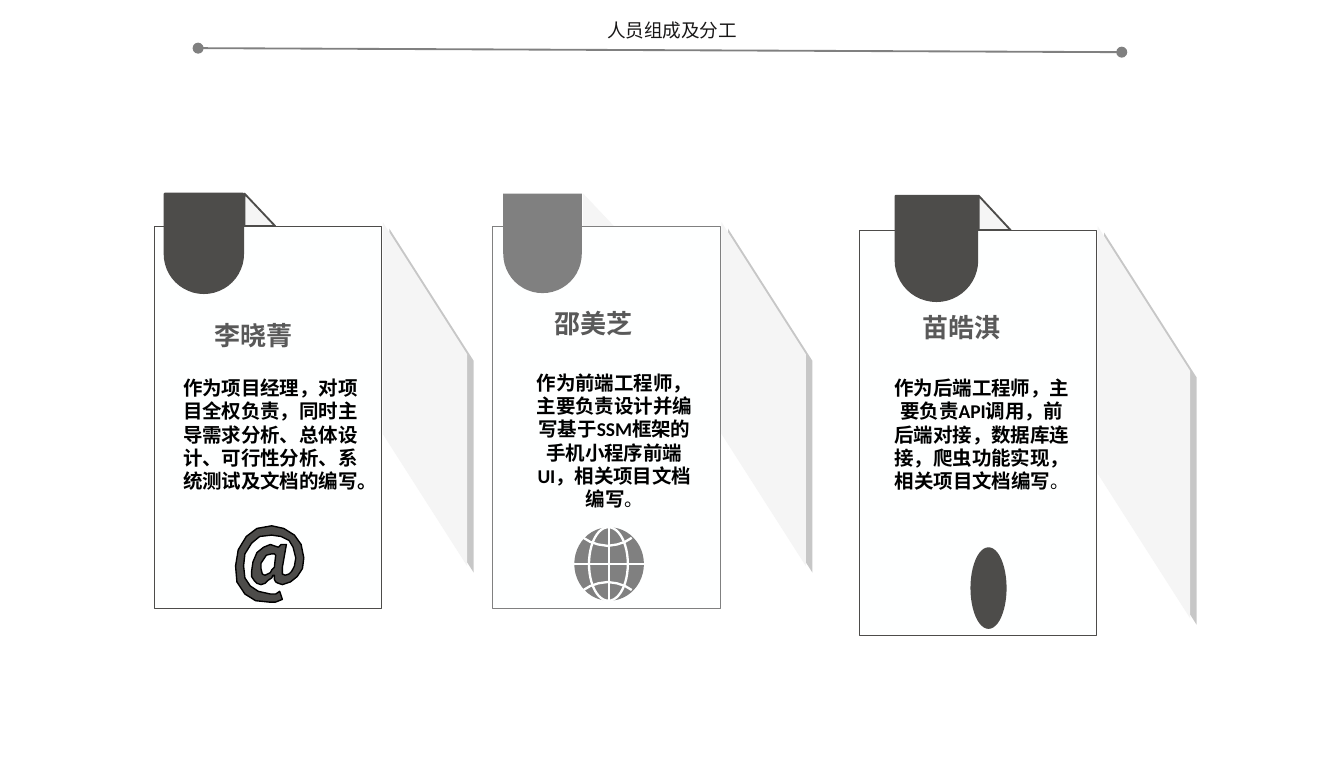
from lxml.etree import SubElement
from pptx import Presentation
from pptx.dml.color import RGBColor
from pptx.enum.shapes import MSO_CONNECTOR, MSO_SHAPE
from pptx.enum.text import MSO_ANCHOR, MSO_AUTO_SIZE, PP_ALIGN
from pptx.oxml.ns import qn
from pptx.util import Inches, Pt

DARK, GREY, PALE, PAPER = "4D4C4A", "808080", "F5F5F5", "FEFFFF"
SANS = "Noto Sans CJK SC"

# Outlines in hundredths of an inch
AT_RING = [
    (34, 14), (38, 14), (35, 31), (35, 36), (37, 37), (40, 36), (42, 34),
    (44, 30), (45, 24), (43, 16), (40, 11), (34, 8), (27, 7), (18, 8),
    (12, 13), (7, 21), (6, 30), (7, 39), (11, 45), (17, 49), (26, 51),
    (30, 51), (33, 49), (35, 55), (30, 57), (25, 57), (15, 56), (7, 51),
    (1, 42), (0, 30), (2, 18), (8, 8), (16, 2), (27, 0), (36, 2), (44, 7),
    (49, 14), (51, 24), (50, 32), (46, 38), (41, 42), (35, 44), (32, 43),
    (30, 42), (29, 40), (29, 37), (28, 37), (27, 39), (24, 41), (22, 43),
    (19, 44), (16, 43), (14, 41), (12, 38), (12, 34), (13, 27), (16, 20),
    (21, 16), (26, 14), (29, 15), (32, 16)]
AT_HOLE = [
    (30, 22), (29, 21), (27, 21), (23, 22), (21, 25), (19, 28), (19, 32),
    (20, 36), (22, 37), (24, 36), (26, 35), (27, 33), (29, 31)]
NORTH = [(7, 8), (12, 11), (18, 13), (25, 14), (32, 13), (38, 11), (43, 8)]
SOUTH = [(x, 55 - y) for x, y in NORTH]


def color(code):
    return RGBColor.from_string(code)


def paint(shape, fill=None, line=None, width=1):
    shape.shadow.inherit = False
    if fill:
        shape.fill.solid()
        shape.fill.fore_color.rgb = color(fill)
    else:
        shape.fill.background()
    if line:
        shape.line.color.rgb = color(line)
        shape.line.width = Pt(width)
    else:
        shape.line.fill.background()
    return shape


def place(slide, kind, x, y, w, h, *look):
    shape = slide.shapes.add_shape(
        kind, Inches(x), Inches(y), Inches(w), Inches(h))
    return paint(shape, *look)


def trace(slide, x, y, loops, closed, *look):
    """Draw loops of points, in hundredths of an inch from x, y."""
    pen = slide.shapes.build_freeform(*loops[0][0], scale=Inches(0.01))
    for i, loop in enumerate(loops):
        if i:
            pen.move_to(*loop[0])
        pen.add_line_segments(loop[1:], close=closed)
    return paint(pen.convert_to_shape(Inches(x), Inches(y)), *look)


def join(slide, x1, y1, x2, y2, code, width):
    line = slide.shapes.add_connector(
        MSO_CONNECTOR.STRAIGHT, Inches(x1), Inches(y1), Inches(x2), Inches(y2))
    line.line.color.rgb = color(code)
    line.line.width = Pt(width)
    SubElement(line._element.spPr, qn("a:effectLst"))
    return line


def style(para, face, size, code, bold):
    font = para.font
    font.name, font.size, font.bold = face, Pt(size), bold
    font.color.rgb = color(code)
    para.alignment = PP_ALIGN.CENTER


def write(slide, x, y, w, h, text, face, size, code):
    box = slide.shapes.add_textbox(Inches(x), Inches(y), Inches(w), Inches(h))
    frame = box.text_frame
    frame.word_wrap = True
    frame.auto_size = MSO_AUTO_SIZE.SHAPE_TO_FIT_TEXT
    para = frame.paragraphs[0]
    para.add_run().text = text
    style(para, face, size, code, True)
    return frame


def draw_head(slide, x, y, w):
    title = slide.shapes.title
    title.left, title.top = Inches(x + w / 2 - 0.15 - 0.59 + 0.24), Inches(y - 0.27)
    title.width, title.height = Inches(1.18), Inches(0.27)
    frame = title.text_frame
    frame.text = "人员组成及分工"
    frame.word_wrap = False
    frame.auto_size = MSO_AUTO_SIZE.SHAPE_TO_FIT_TEXT
    frame.vertical_anchor = MSO_ANCHOR.TOP
    style(frame.paragraphs[0], SANS, 10, "181717", False)
    rule = join(slide, x, y, x + w, y + 0.03, GREY, 1)
    for end in ("a:headEnd", "a:tailEnd"):
        SubElement(rule.line._get_or_add_ln(), qn(end), type="oval")


def draw_panel(slide, x, y, w, h):
    """Draw the slanted side panel, a turned parallelogram with a shadow."""
    panel = place(slide, MSO_SHAPE.PARALLELOGRAM,
                  x + (w - h) / 2, y + (h - w) / 2, h, w, PALE)
    panel.rotation = 270
    panel.adjustments[0] = 1.567
    effects = panel._element.spPr.find(qn("a:effectLst"))
    shade = SubElement(effects, qn("a:outerShdw"), dist=str(Pt(5)),
                       dir="2700000", algn="tl", rotWithShape="0")
    black = SubElement(shade, qn("a:srgbClr"), val="000000")
    SubElement(black, qn("a:alpha"), val="22000")


def draw_at(slide, x, y):
    trace(slide, x, y, [AT_RING, AT_HOLE], True, DARK, "000000", 0.75)


def draw_globe(slide, x, y):
    w, h = 0.52, 0.55
    place(slide, MSO_SHAPE.OVAL, x, y, w, h, GREY)
    place(slide, MSO_SHAPE.OVAL, x + 0.11, y, 0.29, h, None, PAPER, 1.25)
    join(slide, x, y + h / 2, x + w, y + h / 2, PAPER, 1.25)
    join(slide, x + w / 2, y, x + w / 2, y + h, PAPER, 1.25)
    for arc in (NORTH, SOUTH):
        trace(slide, x, y, [arc], False, None, PAPER, 1.25)


def draw_dot(slide, x, y):
    place(slide, MSO_SHAPE.OVAL, x, y, 0.27, 0.61, DARK)


def draw_card(slide, box, tone, edge, inset, side, name, spot, duty, area,
              icon, mark):
    """Draw one member's card; spot, area and mark are offsets from the box."""
    x, y, w, h = box
    draw_panel(slide, x + w + 0.01, y - 0.03, *side)
    tab, rise = 0.345 * w, 0.085 * h
    place(slide, MSO_SHAPE.RIGHT_TRIANGLE, x + inset + tab + 0.01, y - rise,
          0.135 * w, rise, PALE, edge)
    place(slide, MSO_SHAPE.RECTANGLE, x, y, w, h, PAPER, tone, 0.25)
    flag = place(slide, MSO_SHAPE.ROUND_2_SAME_RECTANGLE, x + inset, y - rise,
                 tab, 0.26 * h, tone, edge)
    flag.adjustments[0], flag.adjustments[1] = 0, 0.5
    icon(slide, x + mark[0], y + mark[1])

    frame = write(slide, x + area[0], y + area[1], area[2], 0.98,
                  duty, "Calibri", 10.5, "000000")
    para = frame.paragraphs[0]
    para.space_before = Pt(6)
    if not duty.endswith("。"):
        stop = para.add_run()
        stop.text = "。"
        stop.font.size, stop.font.bold = Pt(10), False

    frame = write(slide, x + spot[0], y + spot[1], 1.37, 0.26,
                  name, SANS, 14, "595959")
    frame.margin_left = frame.margin_right = 0
    frame.margin_top = frame.margin_bottom = 0
    frame.paragraphs[0].line_spacing = 1.2
    frame.paragraphs[0].space_before = Pt(3)


CARDS = [
    ((1.15, 1.69, 1.7, 2.86), DARK, DARK, 0.08, (0.63, 2.57),
     "李晓菁", (0.06, 0.65),
     "作为项目经理，对项目全权负责，同时主导需求分析、总体设计、可行性分析、系统测试及文档的编写。",
     (0.06, 1.07, 1.62), draw_at, (0.61, 2.24)),
    ((3.68, 1.69, 1.7, 2.86), GREY, None, 0.08, (0.63, 2.57),
     "邵美芝", (0.07, 0.56),
     "作为前端工程师，主要负责设计并编写基于SSM框架的手机小程序前端UI，相关项目文档编写",
     (0.19, 1.03, 1.44), draw_globe, (0.61, 2.25)),
    ((6.42, 1.72, 1.77, 3.03), DARK, DARK, 0.27, (0.69, 2.93),
     "苗皓淇", (0.08, 0.56),
     "作为后端工程师，主要负责API调用，前后端对接，数据库连接，爬虫功能实现，相关项目文档编写",
     (0.15, 1.04, 1.53), draw_dot, (0.83, 2.37)),
]


def main():
    deck = Presentation()
    deck.slide_width, deck.slide_height = Inches(10.04), Inches(5.71)
    slide = deck.slides.add_slide(deck.slide_layouts[5])
    draw_head(slide, 1.48, 0.36, 6.9)
    for card in CARDS:
        draw_card(slide, *card)
    deck.save("out.pptx")


if __name__ == "__main__":
    main()
